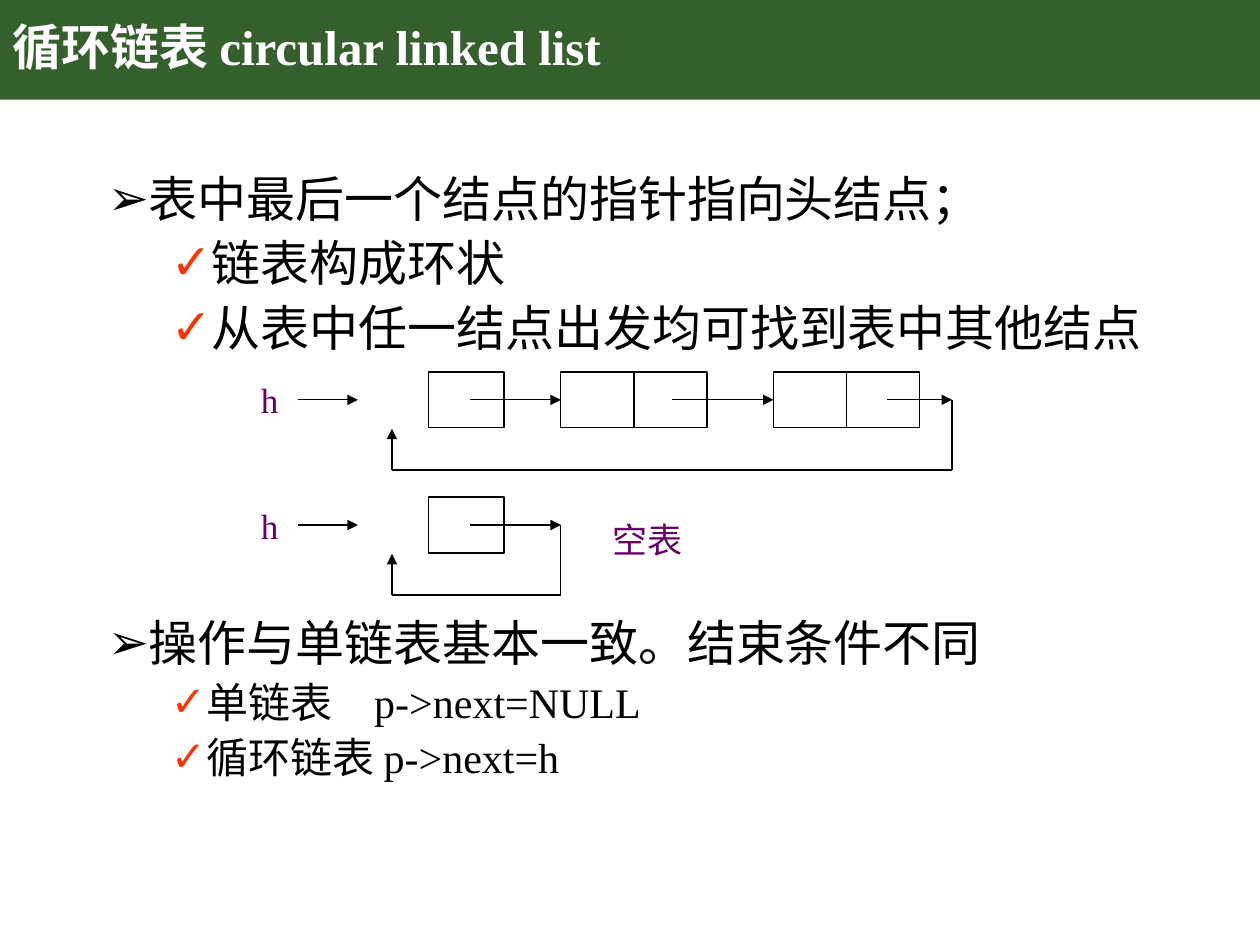
import pptx
import pptx.dml.color
import pptx.enum.shapes
import pptx.enum.text
import pptx.oxml.ns
import pptx.oxml.xmlchemy
import pptx.util

Pt = pptx.util.Pt
ALIGN = pptx.enum.text.PP_ALIGN
ANCHOR = pptx.enum.text.MSO_ANCHOR
SHAPE = pptx.enum.shapes.MSO_SHAPE
STRAIGHT = pptx.enum.shapes.MSO_CONNECTOR.STRAIGHT
TOP, LEFT, BOTTOM = 0, 1, 2


def color(hex_string):
    return pptx.dml.color.RGBColor.from_string(hex_string)


def add_child(parent, tag, **attributes):
    child = pptx.oxml.xmlchemy.OxmlElement(tag)
    for name, value in attributes.items():
        child.set(name, value)
    parent.append(child)
    return child


def write(paragraph, text, size=28, fill="000000", bold=False, align=ALIGN.LEFT,
          spacing=None, before=0):
    paragraph.alignment = align
    paragraph.line_spacing = spacing
    paragraph.space_before = Pt(before)
    run = paragraph.add_run()
    run.text = text
    run.font.name = "Times New Roman"
    run.font.size = Pt(size)
    run.font.bold = bold
    run.font.color.rgb = color(fill)


def set_bullet(paragraph, level, character, fill, left, hanging):
    paragraph.level = level
    properties = paragraph._p.get_or_add_pPr()
    properties.set("marL", str(int(Pt(left))))
    properties.set("indent", str(-int(Pt(hanging))))
    add_child(add_child(properties, "a:buClr"), "a:srgbClr", val=fill)
    add_child(properties, "a:buChar", char=character)


class ListSlide:
    """Holds the style, the slide and the group that receives new shapes."""

    ink, label_color = "000000", "660066"
    banner_color, title_color = "365F2E", "FFFFFF"
    # level, bullet, bullet colour, left margin, hanging indent
    bullets = {1: (1, "➢", "000000", 58.5, 22.5), 2: (2, "✓", "FF3300", 90, 18)}

    def __init__(self, presentation):
        self.slide = presentation.slides.add_slide(presentation.slide_layouts[1])
        self.shapes = self.slide.shapes

    def start_group(self):
        self.shapes = self.slide.shapes.add_group_shape().shapes

    def place(self, shape, left, top, width, height, anchor):
        shape.left, shape.top = Pt(left), Pt(top)
        shape.width, shape.height = Pt(width), Pt(height)
        frame = shape.text_frame
        frame.word_wrap = True
        frame.auto_size = pptx.enum.text.MSO_AUTO_SIZE.NONE
        frame.vertical_anchor = anchor
        return frame

    def title(self, text):
        title = self.slide.shapes.title
        banner = self.box(0, 0, 720, 57, fill=self.banner_color)
        title.element.addprevious(banner.element)
        frame = self.place(title, 0, 0, 620, 57, ANCHOR.MIDDLE)
        write(frame.paragraphs[0], text, fill=self.title_color, bold=True, spacing=0.9)

    def body(self, items):
        frame = self.place(self.slide.placeholders[1], 18.5, 96.5, 670, 398, ANCHOR.TOP)
        for index, (level, text, size, before) in enumerate(items):
            paragraph = frame.add_paragraph() if index else frame.paragraphs[0]
            set_bullet(paragraph, *self.bullets[level])
            write(paragraph, text, size=size, spacing=0.9, before=before)

    def label(self, text, left, middle, width):
        box = self.shapes.add_textbox(Pt(left), Pt(middle - 15.5), Pt(width), Pt(31))
        frame = box.text_frame
        frame.word_wrap = len(text) == 1
        frame.vertical_anchor = ANCHOR.MIDDLE
        write(frame.paragraphs[0], text, size=20, fill=self.label_color, align=ALIGN.CENTER)

    def box(self, left, top, width, height, fill=None):
        """A filled box has no outline; an unfilled one has a thin one."""
        box = self.shapes.add_shape(SHAPE.RECTANGLE, Pt(left), Pt(top), Pt(width), Pt(height))
        box.shadow.inherit = False
        if fill:
            box.fill.solid()
            box.fill.fore_color.rgb = color(fill)
            box.line.fill.background()
        else:
            box.fill.background()
            box.line.color.rgb = color(self.ink)
            box.line.width = Pt(0.75)
        return box

    def line(self, start, end, arrow=False):
        line = self.shapes.add_connector(STRAIGHT, *map(Pt, start + end))
        line.line.color.rgb = color(self.ink)
        line.line.width = Pt(0.75)
        if arrow:
            add_child(line.line._get_or_add_ln(), "a:tailEnd", type="triangle")
        add_child(line.element.find(pptx.oxml.ns.qn("p:spPr")), "a:effectLst")
        return line

    def node(self, left, axis):
        """A box split into a data half and a pointer half."""
        node = self.box(left, axis - 16, 83.5, 32)
        middle = left + 41.75
        divider = self.line((middle, axis - 16), (middle, axis + 16))
        divider.begin_connect(node, TOP)
        divider.end_connect(node, BOTTOM)
        return node

    def circular_list(self, axis, node_lefts, last_pointer, loop_right):
        """Draw h, the head node, any data nodes and the line back to the head."""
        loop_left, loop_bottom = 224, axis + 40
        self.start_group()
        self.label("h", 142, axis, 23)
        self.line((170.5, axis), (204.5, axis), arrow=True)
        self.box(245, axis - 16, 43, 32)
        pointer = 268.5
        for left in node_lefts:
            node = self.node(left, axis)
            link = self.line((pointer, axis), (left, axis), arrow=True)
            link.end_connect(node, LEFT)
            pointer = left + 63.5
        self.line((last_pointer, axis), (loop_right, axis), arrow=True)
        self.line((loop_right, axis), (loop_right, loop_bottom))
        self.line((loop_right, loop_bottom), (loop_left, loop_bottom))
        self.line((loop_left, loop_bottom), (loop_left, axis + 16.5), arrow=True)


def main():
    presentation = pptx.Presentation()
    presentation.slide_width, presentation.slide_height = Pt(720), Pt(540)
    page = ListSlide(presentation)
    page.title("循环链表 circular linked list")
    page.body([
        (1, "表中最后一个结点的指针指向头结点；", 28, 0),
        (2, "链表构成环状", 28, 6.5),
        (2, "从表中任一结点出发均可找到表中其他结点", 28, 6.5),
        (1, "操作与单链表基本一致。结束条件不同", 28, 150),
        (2, "单链表　p->next=NULL", 24, 5.5),
        (2, "循环链表 p->next=h", 24, 5.5),
    ])
    page.circular_list(228.5, [320.5, 442], last_pointer=507, loop_right=544)
    page.circular_list(300, [], last_pointer=268.5, loop_right=320.5)
    page.label("空表", 342.5, 308, 55)
    presentation.save("out.pptx")


if __name__ == "__main__":
    main()
